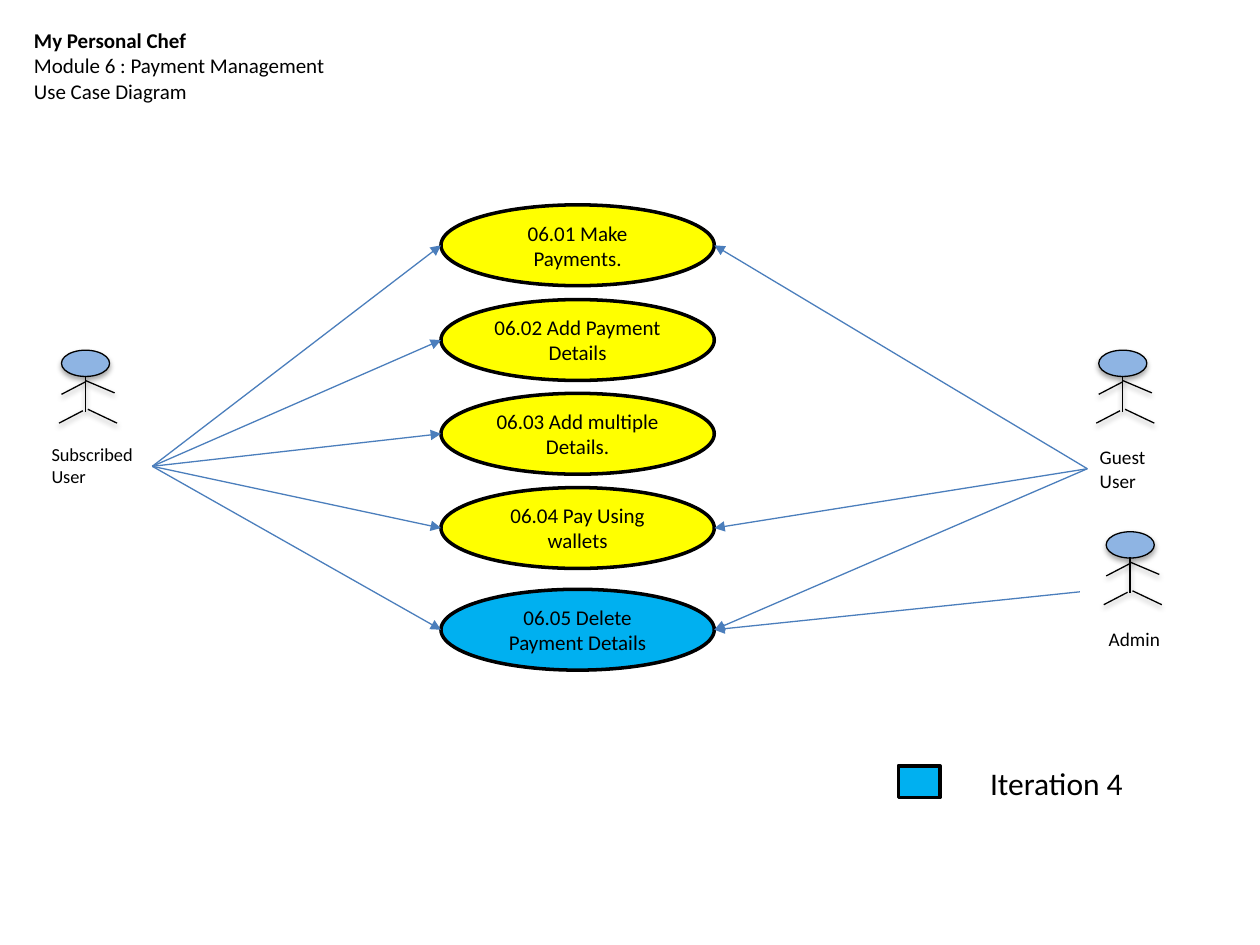
import dataclasses

import lxml.etree
import pptx
import pptx.dml.color
import pptx.enum.shapes
import pptx.enum.text
import pptx.oxml.ns
import pptx.util

Cm = pptx.util.Cm
Pt = pptx.util.Pt
Shapes = pptx.enum.shapes.MSO_SHAPE
Align = pptx.enum.text.PP_ALIGN
Anchor = pptx.enum.text.MSO_ANCHOR


@dataclasses.dataclass(frozen=True)
class Theme:
    font: str = "Calibri"
    ink: str = "000000"
    planned: str = "FFFF00"
    current: str = "00B0F0"
    head: str = "8EB4E3"
    arrow: str = "4B7EBC"
    body_size: float = 12
    label_size: float = 11
    small_size: float = 10.5
    legend_size: float = 18
    thick: float = 2
    thin: float = 0.75


class Diagram:
    limbs = (
        (0.48, 0.51, 0.48, 1.24),
        (0.48, 0.64, 0, 0.89),
        (0.43, 1.22, -0.05, 1.47),
        (0.48, 0.61, 1.07, 0.86),
        (0.53, 1.19, 1.12, 1.47),
    )

    def __init__(self, page, theme):
        self.page = page
        self.theme = theme

    def color(self, value):
        return pptx.dml.color.RGBColor.from_string(value)

    def child(self, parent, tag, **attributes):
        element = lxml.etree.SubElement(parent, pptx.oxml.ns.qn(tag))
        for name, value in attributes.items():
            element.set(name, str(value))
        return element

    def effects(self, shape, shadow=0):
        effect_list = self.child(shape._element.spPr, "a:effectLst")
        if shadow:
            outer = self.child(effect_list, "a:outerShdw", blurRad=Pt(3.1), dist=Pt(1.7),
                               dir=5400000, rotWithShape=0)
            black = self.child(outer, "a:srgbClr", val=self.theme.ink)
            self.child(black, "a:alpha", val=shadow * 1000)

    def set_text(self, shape, text, size, align=Align.LEFT, anchor=Anchor.TOP):
        frame = shape.text_frame
        frame.text = text
        frame.word_wrap = True
        frame.auto_size = pptx.enum.text.MSO_AUTO_SIZE.NONE
        frame.vertical_anchor = anchor
        for para in frame.paragraphs:
            para.alignment = align
            for span in para.runs:
                span.font.name = self.theme.font
                span.font.size = Pt(size)
                span.font.bold = False
                span.font.color.rgb = self.color(self.theme.ink)

    def title(self, text, left, top, width, height):
        title = self.page.shapes.title
        title.left, title.top, title.width, title.height = map(Cm, (left, top, width, height))
        self.set_text(title, text, self.theme.body_size)
        title.text_frame.paragraphs[0].runs[0].font.bold = True

    def label(self, text, left, top, width, height, size, parent=None):
        box = (parent or self.page).shapes.add_textbox(*map(Cm, (left, top, width, height)))
        self.set_text(box, text, size)

    def shape(self, kind, left, top, width, height, fill, weight, shadow=0, parent=None):
        shape = (parent or self.page).shapes.add_shape(
            kind, *map(Cm, (left, top, width, height)))
        shape.fill.solid()
        shape.fill.fore_color.rgb = self.color(fill)
        shape.line.color.rgb = self.color(self.theme.ink)
        shape.line.width = Pt(weight)
        self.effects(shape, shadow)
        return shape

    def line(self, start, end, color, arrow=False, shadow=0, parent=None):
        line = (parent or self.page).shapes.add_connector(
            pptx.enum.shapes.MSO_CONNECTOR.STRAIGHT, *map(Cm, (*start, *end)))
        line.line.color.rgb = self.color(color)
        line.line.width = Pt(self.theme.thin)
        if arrow:
            outline = line._element.spPr.find(pptx.oxml.ns.qn("a:ln"))
            self.child(outline, "a:tailEnd", type="triangle")
        self.effects(line, shadow)

    def use_case(self, text, left, top, width, height, fill):
        oval = self.shape(Shapes.OVAL, left, top, width, height, fill, self.theme.thick)
        self.set_text(oval, text, self.theme.body_size, Align.CENTER, Anchor.MIDDLE)

    def actor(self, name, left, top, label_area, size):
        group = self.page.shapes.add_group_shape()
        self.shape(Shapes.OVAL, left, top, 0.97, 0.53, self.theme.head,
                   self.theme.thin, 35, group)
        for x1, y1, x2, y2 in self.limbs:
            self.line((left + x1, top + y1), (left + x2, top + y2),
                      self.theme.ink, shadow=38, parent=group)
        self.label(name, *label_area, size, group)


theme = Theme()
deck = pptx.Presentation()
deck.slide_width, deck.slide_height = Cm(25.4), Cm(19.05)
diagram = Diagram(deck.slides.add_slide(deck.slide_layouts[5]), theme)

diagram.title("My Personal Chef\nModule 6 : Payment Management\nUse Case Diagram",
              0.43, 0.43, 10.36, 1.8)

case_left, case_width, case_height = 8.89, 5.51, 1.63
cases = (
    ("06.01 Make Payments.", 4.13, theme.planned),
    ("06.02 Add Payment Details", 6.04, theme.planned),
    ("06.03 Add multiple Details.", 7.93, theme.planned),
    ("06.04 Pay Using wallets", 9.83, theme.planned),
    ("06.05 Delete Payment Details", 11.88, theme.current),
)
for text, top, fill in cases:
    diagram.use_case(text, case_left, top, case_width, case_height, fill)

actors = (
    ("Subscribed User", 1.24, 7.06, (0.79, 8.81, 2.29, 1.14), theme.small_size),
    ("Guest User", 22.15, 7.06, (21.92, 8.86, 1.73, 1.19), theme.label_size),
    ("Admin", 22.3, 10.72, (22.1, 12.52, 1.73, 0.74), theme.label_size),
)
for actor in actors:
    diagram.actor(*actor)

case_right = case_left + case_width
links = (
    ((3.07, 9.4), case_left, (0, 1, 2, 3, 4)),
    ((21.92, 9.45), case_right, (0, 3, 4)),
    ((21.77, 11.93), case_right, (4,)),
)
for start, edge, targets in links:
    for target in targets:
        middle = cases[target][1] + case_height / 2
        diagram.line(start, (edge, middle), theme.arrow, arrow=True)

diagram.shape(Shapes.RECTANGLE, 18.11, 15.44, 0.84, 0.64, theme.current, theme.thick)
diagram.label("Iteration 4", 19.71, 15.27, 4.88, 1.02, theme.legend_size)

deck.save("out.pptx")
